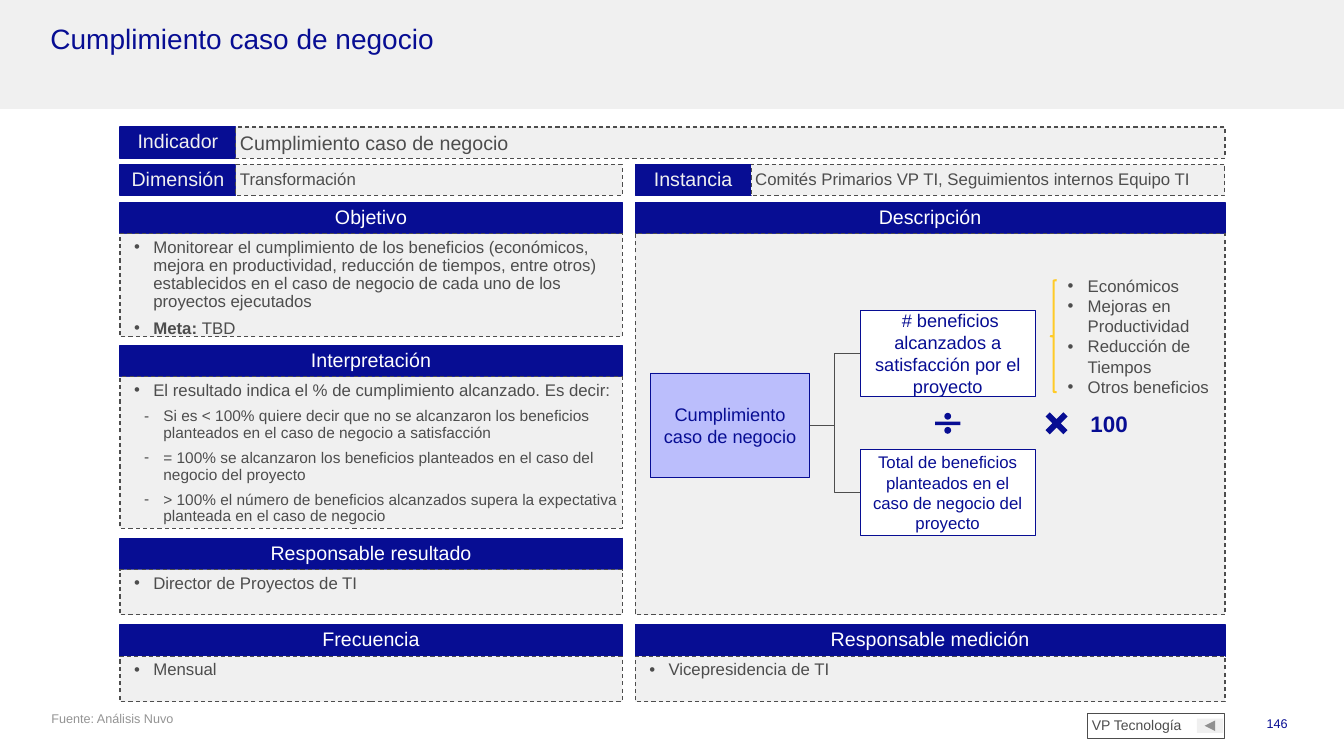
"""Build the indicator sheet slide for business case fulfilment."""
from dataclasses import dataclass
from typing import Optional

from lxml import etree
from pptx import Presentation
from pptx.dml import color
from pptx.enum import dml, shapes, text
from pptx.oxml import ns
from pptx.util import Inches, Pt

MSO = shapes.MSO_SHAPE
AL = text.PP_ALIGN
MIDDLE = text.MSO_ANCHOR.MIDDLE
TOP = text.MSO_ANCHOR.TOP


@dataclass(frozen=True)
class Theme:
    font: str = "Arial"
    navy: str = "070D93"
    lilac: str = "BBBEFC"
    yellow: str = "FFCB27"
    light: str = "F0F0F0"
    white: str = "FFFFFF"
    grey: str = "4D4D4D"
    pale: str = "949494"
    title: float = 20
    result: float = 16
    head: float = 14
    node: float = 13
    body: float = 12
    sub: float = 11
    tag: float = 10
    foot: float = 9


T = Theme()


@dataclass(frozen=True)
class Area:
    x: float
    y: float
    w: float
    h: float


@dataclass(frozen=True)
class Para:
    text: str
    size: float = T.body
    color: str = T.grey
    align: AL = AL.LEFT
    bullet: str = ""
    margin: float = 0.29
    hang: float = 0.19
    lead: str = ""
    bold: bool = False
    tight: bool = True


@dataclass(frozen=True)
class Look:
    fill: Optional[str] = None
    line: Optional[str] = None
    width: float = 0.75
    dashed: bool = False


@dataclass(frozen=True)
class Panel:
    x: float
    y: float
    w: float
    h: float
    title: str
    paras: tuple = ()


@dataclass(frozen=True)
class Field:
    x: float
    y: float
    right: float
    label: str
    value: Para


HEAD = Look(T.navy, T.navy)
BODY = Look(T.light, T.grey, dashed=True)
NODE = Look(T.white, T.navy, 0.5)
TIGHT = (0.04, 0.05, 0.04, 0.05)
WIDE = (0.1, 0.05, 0.1, 0.05)
LEFT, LEFT_W, RIGHT, RIGHT_W = 1.19, 4.98, 6.3, 5.85
BAR, TAG_W = 0.31, 1.15


def rgb(value: str):
    """Return the colour object for a hex value."""
    return color.RGBColor.from_string(value)


def write(sp, paras, inset=TIGHT, anchor=TOP) -> None:
    """Fill a shape with formatted paragraphs."""
    tf = sp.text_frame
    tf.word_wrap = True
    tf.vertical_anchor = anchor
    tf.margin_left, tf.margin_top, tf.margin_right, tf.margin_bottom = map(Inches, inset)
    for i, para in enumerate(paras):
        p = tf.paragraphs[0] if i == 0 else tf.add_paragraph()
        p.text = para.lead or para.text
        if para.lead:
            p.add_run().text = para.text
        p.alignment = para.align
        if para.tight:
            p.line_spacing = 0.9
            p.space_before = p.space_after = Pt(3)
        for j, r in enumerate(p.runs):
            r.font.name, r.font.size = T.font, Pt(para.size)
            r.font.bold = para.bold or (bool(para.lead) and j == 0)
            r.font.color.rgb = rgb(para.color)
        if para.bullet:
            pPr = p._p.get_or_add_pPr()
            pPr.set("marL", str(Inches(para.margin)))
            pPr.set("indent", str(-Inches(para.hang)))
            clr = etree.SubElement(pPr, ns.qn("a:buClr"))
            etree.SubElement(clr, ns.qn("a:srgbClr"), val=para.color)
            etree.SubElement(pPr, ns.qn("a:buFont"), typeface=T.font)
            etree.SubElement(pPr, ns.qn("a:buChar"), char=para.bullet)


def box(s, area: Area, look: Look, paras=(), inset=TIGHT, anchor=TOP,
        kind=MSO.RECTANGLE, turn: float = 0, adj=()):
    """Draw a preset shape with optional text."""
    sp = s.shapes.add_shape(kind, *map(Inches, (area.x, area.y, area.w, area.h)))
    sp.shadow.inherit = False
    sp.rotation = turn
    for i, value in enumerate(adj):
        sp.adjustments[i] = value
    if look.fill:
        sp.fill.solid()
        sp.fill.fore_color.rgb = rgb(look.fill)
    else:
        sp.fill.background()
    if look.line:
        sp.line.color.rgb = rgb(look.line)
        sp.line.width = Pt(look.width)
        if look.dashed:
            sp.line.dash_style = dml.MSO_LINE.DASH
    else:
        sp.line.fill.background()
    if paras:
        write(sp, paras, inset, anchor)
    return sp


def label(s, area: Area, paras, inset=WIDE, anchor=TOP) -> None:
    """Draw a text box."""
    sp = s.shapes.add_textbox(*map(Inches, (area.x, area.y, area.w, area.h)))
    write(sp, paras, inset, anchor)


def draw_panel(s, panel: Panel) -> None:
    """Draw a header bar above its dashed body."""
    head = Para(panel.title, T.head, T.white, AL.CENTER)
    box(s, Area(panel.x, panel.y, panel.w, BAR), HEAD, [head])
    box(s, Area(panel.x, panel.y + BAR, panel.w, panel.h), BODY, panel.paras)


def draw_field(s, field: Field) -> None:
    """Draw a label and its value side by side."""
    x = field.x + TAG_W
    box(s, Area(field.x, field.y, TAG_W, BAR), HEAD,
        [Para(field.label, T.head, T.light, AL.CENTER)])
    box(s, Area(x, field.y, field.right - x, BAR), BODY, [field.value], anchor=MIDDLE)


def draw_node(s, area: Area, caption: str, size: float, look: Look = NODE):
    """Draw one box of the formula tree."""
    para = Para(caption, size, T.navy, AL.CENTER, tight=False)
    return box(s, area, look, [para], WIDE, MIDDLE)


def draw_branch(s, start, end) -> None:
    """Join two tree boxes with an elbow connector."""
    c = s.shapes.add_connector(shapes.MSO_CONNECTOR.ELBOW, 0, 0, 0, 0)
    c.begin_connect(start, 3)
    c.end_connect(end, 1)
    c.line.color.rgb = rgb(T.grey)
    c.line.width = Pt(0.5)
    etree.SubElement(c._element.spPr, ns.qn("a:effectLst"))


def dash(caption: str) -> Para:
    """Return a second level paragraph."""
    return Para(caption, T.sub, bullet="-", margin=0.39)


FIELDS = (
    Field(LEFT, 1.26, RIGHT + RIGHT_W, "Indicador",
          Para("Cumplimiento caso de negocio", T.head, tight=False)),
    Field(LEFT, 1.63, LEFT + LEFT_W, "Dimensión", Para("Transformación")),
    Field(RIGHT, 1.63, RIGHT + RIGHT_W, "Instancia",
          Para("Comités Primarios VP TI, Seguimientos internos Equipo TI")),
)
PANELS = (
    Panel(LEFT, 2.01, LEFT_W, 1.02, "Objetivo", (
        Para("Monitorear el cumplimiento de los beneficios (económicos, mejora en productividad, "
             "reducción de tiempos, entre otros) establecidos en el caso de negocio de cada uno "
             "de los proyectos ejecutados", bullet="•"),
        Para("TBD", bullet="•", lead="Meta: "))),
    Panel(LEFT, 3.43, LEFT_W, 1.5, "Interpretación", (
        Para("El resultado indica el % de cumplimiento alcanzado. Es decir:", bullet="•"),
        dash("Si es < 100% quiere decir que no se alcanzaron los beneficios planteados "
             "en el caso de negocio a satisfacción"),
        dash("= 100% se alcanzaron los beneficios planteados en el caso del negocio del proyecto"),
        dash("> 100% el número de beneficios alcanzados supera la expectativa planteada "
             "en el caso de negocio"))),
    Panel(LEFT, 5.34, LEFT_W, 0.45, "Responsable resultado",
          (Para("Director de Proyectos de TI", bullet="•"),)),
    Panel(LEFT, 6.2, LEFT_W, 0.45, "Frecuencia", (Para("Mensual", bullet="•"),)),
    Panel(RIGHT, 2.01, RIGHT_W, 3.78, "Descripción"),
    Panel(RIGHT, 6.2, RIGHT_W, 0.45, "Responsable medición",
          (Para("Vicepresidencia de TI", bullet="•"),)),
)
BENEFITS = ("Económicos", "Mejoras en Productividad", "Reducción de Tiempos", "Otros beneficios")


def draw_formula(s) -> None:
    """Draw the formula tree of the indicator."""
    root = draw_node(s, Area(6.45, 3.7, 1.58, 1.04), "Cumplimiento caso de negocio",
                     T.node, Look(T.lilac, T.navy, 0.5))
    reached = draw_node(s, Area(8.53, 3.08, 1.74, 0.85),
                        " # beneficios alcanzados a satisfacción por el proyecto", T.node)
    planned = draw_node(s, Area(8.53, 4.46, 1.74, 0.85),
                        "Total de beneficios planteados en el caso de negocio del proyecto", T.body)
    for end in (reached, planned):
        draw_branch(s, root, end)
    box(s, Area(9.23, 4.02, 0.34, 0.36), Look(T.navy), kind=MSO.MATH_DIVIDE,
        adj=(0.096, 0.052, 0.094))
    box(s, Area(10.31, 4.03, 0.34, 0.34), Look(T.navy), kind=MSO.MATH_MULTIPLY, adj=(0.172,))
    box(s, Area(10.42, 2.78, 0.06, 1.11), Look(line=T.yellow, width=1.5),
        kind=MSO.RIGHT_BRACE, turn=180)
    label(s, Area(10.49, 2.82, 1.63, 1.03),
          [Para(b, bullet="•", margin=0.2, hang=0.2, tight=False) for b in BENEFITS],
          anchor=MIDDLE)
    label(s, Area(10.6, 4.02, 0.8, 0.37),
          [Para("100", T.result, T.navy, AL.CENTER, bold=True, tight=False)], anchor=MIDDLE)


def main() -> None:
    """Create and save the slide."""
    prs = Presentation()
    prs.slide_width, prs.slide_height = Inches(13.33), Inches(7.5)
    s = prs.slides.add_slide(prs.slide_layouts[6])
    box(s, Area(0, 0, 13.33, 1.08), Look(T.light))
    label(s, Area(0.46, 0.2, 12.4, 0.69),
          [Para("Cumplimiento caso de negocio", T.title, T.navy)], TIGHT)
    for field in FIELDS:
        draw_field(s, field)
    for panel in PANELS:
        draw_panel(s, panel)
    draw_formula(s)
    label(s, Area(0.47, 7.05, 11.02, 0.4),
          [Para("Fuente: Análisis Nuvo", T.foot, T.pale, tight=False)], (0.04, 0, 0.04, 0.04))
    label(s, Area(11.76, 7.05, 1.11, 0.4),
          [Para("146", T.foot, T.navy, AL.RIGHT, tight=False)])
    box(s, Area(11.87, 7.13, 0.26, 0.14), Look(T.light),
        kind=MSO.ACTION_BUTTON_FORWARD_OR_NEXT, turn=180)
    box(s, Area(10.79, 7.08, 1.36, 0.25), Look(line=T.grey), [Para("VP Tecnología", T.tag)])
    prs.save("out.pptx")


if __name__ == "__main__":
    main()
